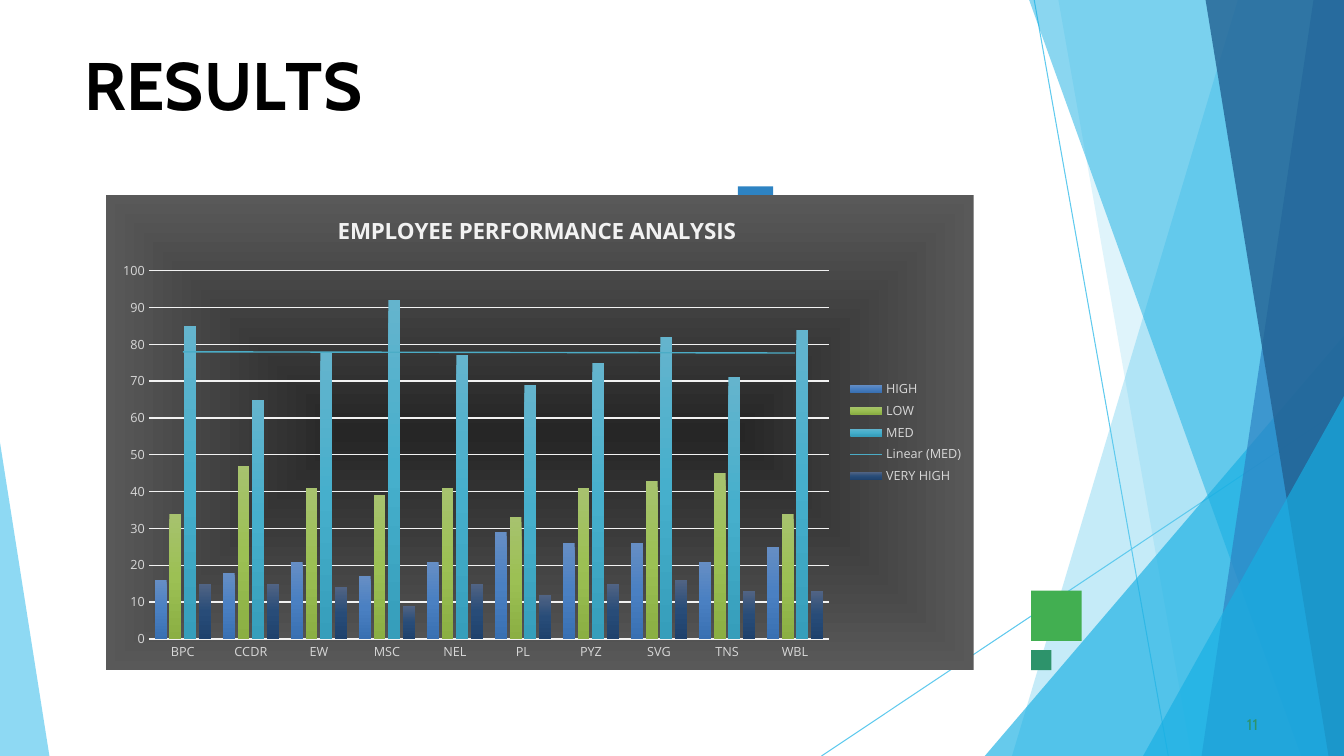
"""Build the employee performance results slide."""
from dataclasses import dataclass

from lxml import etree
from pptx import Presentation
from pptx import util as u
from pptx.chart.chart import Chart
from pptx.chart.data import CategoryChartData
from pptx.dml.color import RGBColor
from pptx.enum import chart as ch
from pptx.enum import shapes, text
from pptx.oxml import parse_xml
from pptx.oxml.ns import nsdecls, qn
from pptx.slide import Slide

COLUMNS, ROWS = 133.33, 75


@dataclass(frozen=True)
class Theme:
    sky: str = "5FCAEE"
    cyan: str = "17AFE3"
    blue: str = "2D83C3"
    navy: str = "226192"
    green: str = "42AF51"
    teal: str = "2D936B"
    black: str = "000000"
    pale: str = "F2F2F2"
    label: str = "D8D8D8"
    trend: str = "4BACC6"
    backdrop: tuple[str, ...] = ("262626", "595959")
    heading_font: str = "Cabin"
    chart_font: str = "Open Sans"
    heading_size: float = 48
    number_size: float = 11
    chart_title_size: float = 16
    chart_size: float = 10
    label_size: float = 9
    line_width: float = 0.75
    chart_line_width: float = 1


THEME = Theme()


@dataclass(frozen=True)
class Ray:
    start: tuple[float, float]
    end: tuple[float, float]


@dataclass(frozen=True)
class Shard:
    edge: float
    top_row: float
    top_column: float
    bottom_column: float
    color: str
    opacity: int


@dataclass(frozen=True)
class Square:
    column: float
    row: float
    side: float
    color: str


@dataclass(frozen=True)
class Caption:
    box: tuple[float, float, float, float]
    pieces: tuple[tuple[str, int], ...]
    size: float
    color: str
    bold: bool
    indent: float
    space_before: float


@dataclass(frozen=True)
class Rating:
    name: str
    counts: tuple[int, ...]
    gradient: tuple[str, ...]
    trend: bool = False


RAYS = (Ray((102.6, 0), (115.9, ROWS)), Ray((COLUMNS, 40.4), (81.5, ROWS)))
SHARDS = (
    Shard(COLUMNS, 0, 122.8, 100.4, THEME.sky, 36),
    Shard(COLUMNS, 0, 105, 118.2, THEME.sky, 20),
    Shard(COLUMNS, 33.3, COLUMNS, 97.7, THEME.cyan, 66),
    Shard(COLUMNS, 0, 102.1, 129.1, THEME.cyan, 50),
    Shard(COLUMNS, 0, 130.3, 119.2, THEME.blue, 70),
    Shard(COLUMNS, 0, 119.6, 131.8, THEME.navy, 80),
    Shard(COLUMNS, 39.3, COLUMNS, 113.4, THEME.cyan, 66),
    Shard(0, 43.9, 0, 4.9, THEME.sky, 70),
)
SQUARES = (
    Square(102.3, 58.6, 5, THEME.green),
    Square(73.2, 18.5, 3.5, THEME.blue),
    Square(102.3, 64.5, 2, THEME.teal),
)
CAPTIONS = (
    Caption((8.3, 4.2, 39.8, 8.1),
            (("R", 0), ("E", -40), ("S", 10), ("U", -30), ("L", -400), ("TS", 0)),
            THEME.heading_size, THEME.black, True, 0.1, 1),
    Caption((123.3, 70.8, 2.5, 1.8), (("11", 10),),
            THEME.number_size, THEME.teal, False, 0.4, 0.6),
)
CHART_BOX = (10.5, 19.3, 86.1, 47.2)
UNITS = ("BPC", "CCDR", "EW", "MSC", "NEL", "PL", "PYZ", "SVG", "TNS", "WBL")
RATINGS = (
    Rating("HIGH", (16, 18, 21, 17, 21, 29, 26, 26, 21, 25), ("668EC4", "4A80C2", "3970B2")),
    Rating("LOW", (34, 47, 41, 39, 41, 33, 41, 43, 45, 34), ("A7C26E", "9CC054", "8BAF43")),
    Rating("MED", (85, 65, 78, 92, 77, 69, 75, 82, 71, 84), ("64B4CD", "46AFCC", "369EBB"), True),
    Rating("VERY HIGH", (15, 15, 14, 9, 15, 12, 15, 16, 13, 13), ("516484", "284C78", "1F426D")),
)


def cells(*counts: float) -> list[int]:
    return [u.Inches(count / 10) for count in counts]


def rgb(color: str) -> RGBColor:
    return RGBColor.from_string(color)


def style_font(font, name: str, size: float, color: str, bold: bool = False) -> None:
    font.name, font.size, font.bold = name, u.Pt(size), bold
    font.color.rgb = rgb(color)


def style_line(line, color: str, width: float) -> None:
    line.color.rgb = rgb(color)
    line.width = u.Pt(width)


def fill_shape(shape, color: str) -> None:
    shape.shadow.inherit = False
    shape.fill.solid()
    shape.fill.fore_color.rgb = rgb(color)
    shape.line.fill.background()


def draw_ray(slide: Slide, ray: Ray) -> None:
    line = slide.shapes.add_connector(
        shapes.MSO_CONNECTOR.STRAIGHT, *cells(*ray.start, *ray.end))
    style_line(line.line, THEME.sky, THEME.line_width)
    etree.SubElement(line._element.spPr, qn("a:effectLst"))


def draw_shard(slide: Slide, shard: Shard) -> None:
    corners = dict.fromkeys((
        (shard.edge, shard.top_row), (shard.top_column, shard.top_row),
        (shard.bottom_column, ROWS), (shard.edge, ROWS)))
    first, *others = [cells(*corner) for corner in corners]
    outline = slide.shapes.build_freeform(*first)
    outline.add_line_segments(others, close=True)
    shape = outline.convert_to_shape()
    fill_shape(shape, shard.color)
    color = shape._element.spPr.find(qn("a:solidFill"))[0]
    etree.SubElement(color, qn("a:alpha"), val=str(shard.opacity * 1000))


def draw_square(slide: Slide, square: Square) -> None:
    box = cells(square.column, square.row, square.side, square.side)
    fill_shape(slide.shapes.add_shape(shapes.MSO_SHAPE.RECTANGLE, *box), square.color)


def draw_caption(slide: Slide, caption: Caption) -> None:
    frame = slide.shapes.add_textbox(*cells(*caption.box)).text_frame
    frame.word_wrap = True
    frame.auto_size = text.MSO_AUTO_SIZE.SHAPE_TO_FIT_TEXT
    frame.margin_left = frame.margin_right = frame.margin_bottom = 0
    frame.margin_top = u.Inches(0.01)
    paragraph = frame.paragraphs[0]
    paragraph.space_before = u.Pt(caption.space_before)
    paragraph._p.get_or_add_pPr().set("marL", str(cells(caption.indent)[0]))
    for letters, spacing in caption.pieces:
        run = paragraph.add_run()
        run.text = letters
        style_font(run.font, THEME.heading_font, caption.size, caption.color, caption.bold)
        run._r.get_or_add_rPr().set("spc", str(spacing))


def gradient(colors: tuple[str, ...], direction: str):
    step = 100000 // (len(colors) - 1)
    stops = "".join(f'<a:gs pos="{i * step}"><a:srgbClr val="{color}"/></a:gs>'
                    for i, color in enumerate(colors))
    return parse_xml(f'<a:gradFill {nsdecls("a")} rotWithShape="1">'
                     f'<a:gsLst>{stops}</a:gsLst>{direction}</a:gradFill>')


def style_axes(chart: Chart) -> None:
    for axis in (chart.category_axis, chart.value_axis):
        axis.major_tick_mark = axis.minor_tick_mark = ch.XL_TICK_MARK.NONE
        style_font(axis.tick_labels.font, THEME.chart_font, THEME.label_size, THEME.label)
    style_line(chart.category_axis.format.line, THEME.pale, THEME.chart_line_width)
    scale = chart.value_axis
    scale.minimum_scale, scale.maximum_scale, scale.major_unit = 0, 100, 10
    scale.format.line.fill.background()
    style_line(scale.major_gridlines.format.line, THEME.pale, THEME.chart_line_width)


def style_rating(series, rating: Rating) -> None:
    series.format.fill.solid()
    properties = series._element.spPr
    properties.replace(properties.find(qn("a:solidFill")),
                       gradient(rating.gradient, '<a:lin ang="5400000" scaled="0"/>'))
    if rating.trend:
        series._element.find(qn("c:cat")).addprevious(parse_xml(
            f'<c:trendline {nsdecls("c", "a")}><c:spPr><a:ln w="{u.Pt(THEME.chart_line_width)}">'
            f'<a:solidFill><a:srgbClr val="{THEME.trend}"/></a:solidFill></a:ln></c:spPr>'
            '<c:trendlineType val="linear"/><c:dispRSqr val="0"/><c:dispEq val="0"/>'
            '</c:trendline>'))


def draw_chart(slide: Slide) -> None:
    ratings = CategoryChartData()
    ratings.categories = UNITS
    for rating in RATINGS:
        ratings.add_series(rating.name, rating.counts)
    chart = slide.shapes.add_chart(
        ch.XL_CHART_TYPE.COLUMN_CLUSTERED, *cells(*CHART_BOX), ratings).chart
    style_font(chart.font, THEME.chart_font, THEME.chart_size, THEME.black)
    chart.has_title = True
    heading = chart.chart_title.text_frame
    heading.text = "EMPLOYEE PERFORMANCE ANALYSIS "
    style_font(heading.paragraphs[0].runs[0].font, THEME.chart_font,
               THEME.chart_title_size, THEME.pale, True)
    chart.has_legend = True
    chart.legend.position = ch.XL_LEGEND_POSITION.RIGHT
    chart.legend.include_in_layout = False
    style_font(chart.legend.font, THEME.chart_font, THEME.label_size, THEME.label)
    style_axes(chart)
    plot = chart.plots[0]
    plot.gap_width, plot.overlap, plot.vary_by_categories = 100, -24, False
    for series, rating in zip(plot.series, RATINGS):
        style_rating(series, rating)
    backdrop = parse_xml(f'<c:spPr {nsdecls("c", "a")}><a:ln><a:noFill/></a:ln></c:spPr>')
    backdrop.insert(0, gradient(THEME.backdrop, '<a:path path="shape"><a:fillToRect '
                                'l="50000" t="50000" r="50000" b="50000"/></a:path>'))
    chart._chartSpace.find(qn("c:chart")).addnext(backdrop)


def main() -> None:
    deck = Presentation()
    deck.slide_width, deck.slide_height = cells(COLUMNS, ROWS)
    slide = deck.slides.add_slide(deck.slide_layouts[6])
    for draw, parts in ((draw_ray, RAYS), (draw_shard, SHARDS),
                        (draw_square, SQUARES), (draw_caption, CAPTIONS)):
        for part in parts:
            draw(slide, part)
    draw_chart(slide)
    deck.save("out.pptx")


if __name__ == "__main__":
    main()
